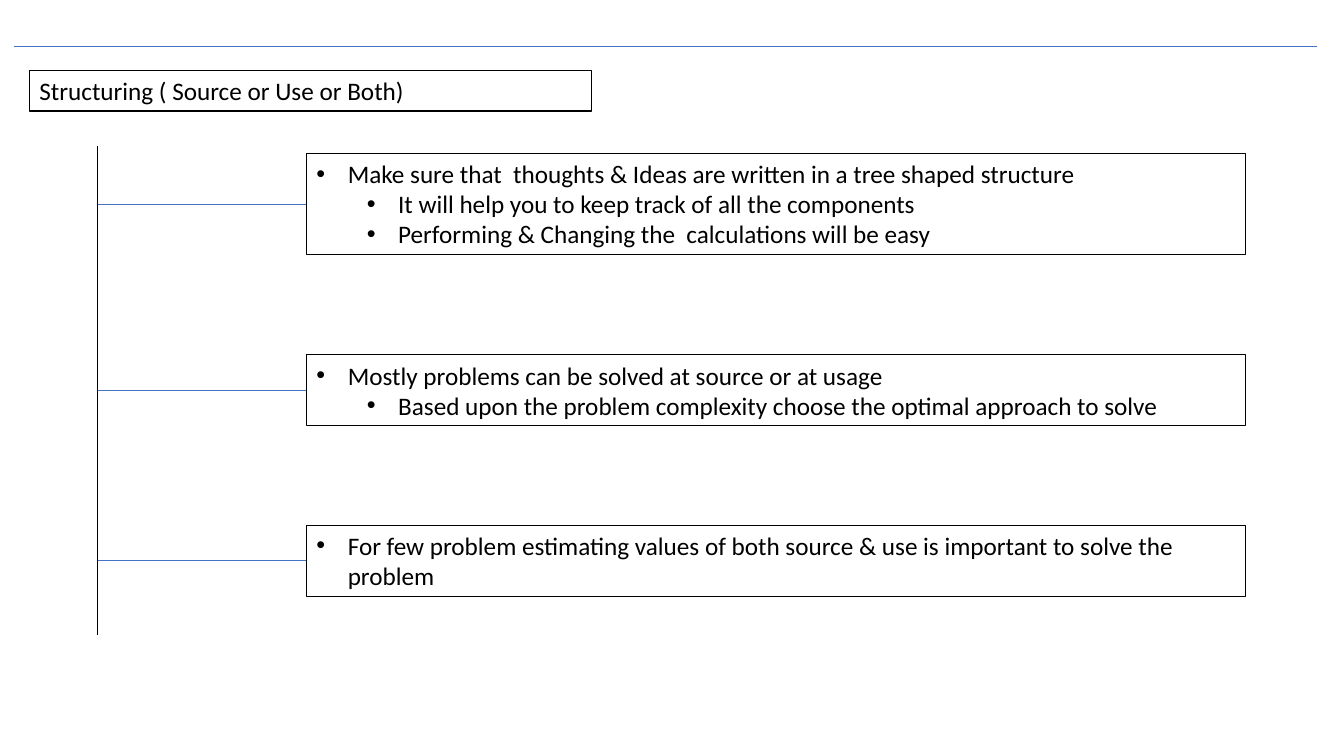
from lxml import etree
from pptx import Presentation
from pptx.dml.color import RGBColor
from pptx.enum.shapes import MSO_CONNECTOR
from pptx.enum.text import MSO_ANCHOR, MSO_AUTO_SIZE, PP_ALIGN
from pptx.oxml.ns import qn
from pptx.util import Cm, Pt

TITLE = "Structuring ( Source or Use or Both)"
BRANCHES = [
    {"top": 3.86, "lines": 3, "items": [
        (0, "Make sure that  thoughts & Ideas are written in a tree shaped structure"),
        (1, "It will help you to keep track of all the components"),
        (1, "Performing & Changing the  calculations will be easy")]},
    {"top": 8.94, "lines": 2, "items": [
        (0, "Mostly problems can be solved at source or at usage"),
        (1, "Based upon the problem complexity choose the optimal approach to solve")]},
    {"top": 13.23, "lines": 2, "items": [
        (0, "For few problem estimating values of both source & use is important "
            "to solve the problem")]},
]

BLACK = RGBColor(0x00, 0x00, 0x00)
WHITE = RGBColor(0xFF, 0xFF, 0xFF)
BLUE = RGBColor(0x44, 0x72, 0xC4)
STRAIGHT = MSO_CONNECTOR.STRAIGHT
LEFT = PP_ALIGN.LEFT
TOP = MSO_ANCHOR.TOP
NO_FIT = MSO_AUTO_SIZE.NONE
COMPARISON_LAYOUT = 4
LEFT_SIDE = 1

TRUNK_X, TRUNK_TOP, TRUNK_BOTTOM = 2.46, 3.68, 16.0
BOX_LEFT, BOX_WIDTH = 7.72, 23.67
LINE_HEIGHT, BOX_PADDING = 0.77, 0.25
BULLET_INDENT, LEVEL_STEP = 0.79, 1.27


def write(para, text, size=18, color=BLACK, level=0, bullet=None):
    para.level = level
    para.alignment = LEFT
    para.space_before = Pt(0)
    span = para.add_run()
    span.text = text
    span.font.name = "Calibri"
    span.font.size = Pt(size)
    span.font.bold = False
    span.font.color.rgb = color
    if bullet:
        properties = para._p.get_or_add_pPr()
        properties.set("marL", str(Cm(BULLET_INDENT + level * LEVEL_STEP)))
        properties.set("indent", str(-Cm(BULLET_INDENT)))
        etree.SubElement(properties, qn("a:buFont")).set("typeface", "Arial")
        etree.SubElement(properties, qn("a:buChar")).set("char", bullet)


def frame_box(box, left, top, width, height, line_width):
    box.left, box.top, box.width, box.height = Cm(left), Cm(top), Cm(width), Cm(height)
    box.line.color.rgb = BLACK
    box.line.width = Pt(line_width)
    box.text_frame.word_wrap = True
    box.text_frame.auto_size = NO_FIT
    box.text_frame.vertical_anchor = TOP


def add_line(page, start, end, color, width):
    line = page.shapes.add_connector(STRAIGHT, *start, *end)
    line.line.color.rgb = color
    line.line.width = Pt(width)
    etree.SubElement(line._element.spPr, qn("a:effectLst"))
    return line


def main():
    deck = Presentation()
    deck.slide_width, deck.slide_height = Cm(33.87), Cm(19.05)
    page = deck.slides.add_slide(deck.slide_layouts[COMPARISON_LAYOUT])
    title, *bodies = list(page.placeholders)[:len(BRANCHES) + 1]
    for spare in list(page.placeholders)[len(BRANCHES) + 1:]:
        spare._element.getparent().remove(spare._element)

    frame_box(title, 0.74, 1.78, 14.17, LINE_HEIGHT + BOX_PADDING, 1)
    title.fill.solid()
    title.fill.fore_color.rgb = WHITE
    write(title.text_frame.paragraphs[0], TITLE)

    add_line(page, (Cm(0.36), Cm(1.17)), (Cm(33.2), Cm(1.17)), BLUE, 1)
    add_line(page, (Cm(TRUNK_X), Cm(TRUNK_TOP)), (Cm(TRUNK_X), Cm(TRUNK_BOTTOM)), BLACK, 0.5)

    for box, branch in zip(bodies, BRANCHES):
        height = branch["lines"] * LINE_HEIGHT + BOX_PADDING
        frame_box(box, BOX_LEFT, branch["top"], BOX_WIDTH, height, 0.75)
        frame = box.text_frame
        for index, (level, text) in enumerate(branch["items"]):
            para = frame.add_paragraph() if index else frame.paragraphs[0]
            write(para, text, level=level, bullet="•")
        middle = box.top + box.height // 2
        twig = add_line(page, (Cm(TRUNK_X), middle), (box.left, middle), BLUE, 0.5)
        twig.end_connect(box, LEFT_SIDE)

    deck.save("out.pptx")


if __name__ == "__main__":
    main()
